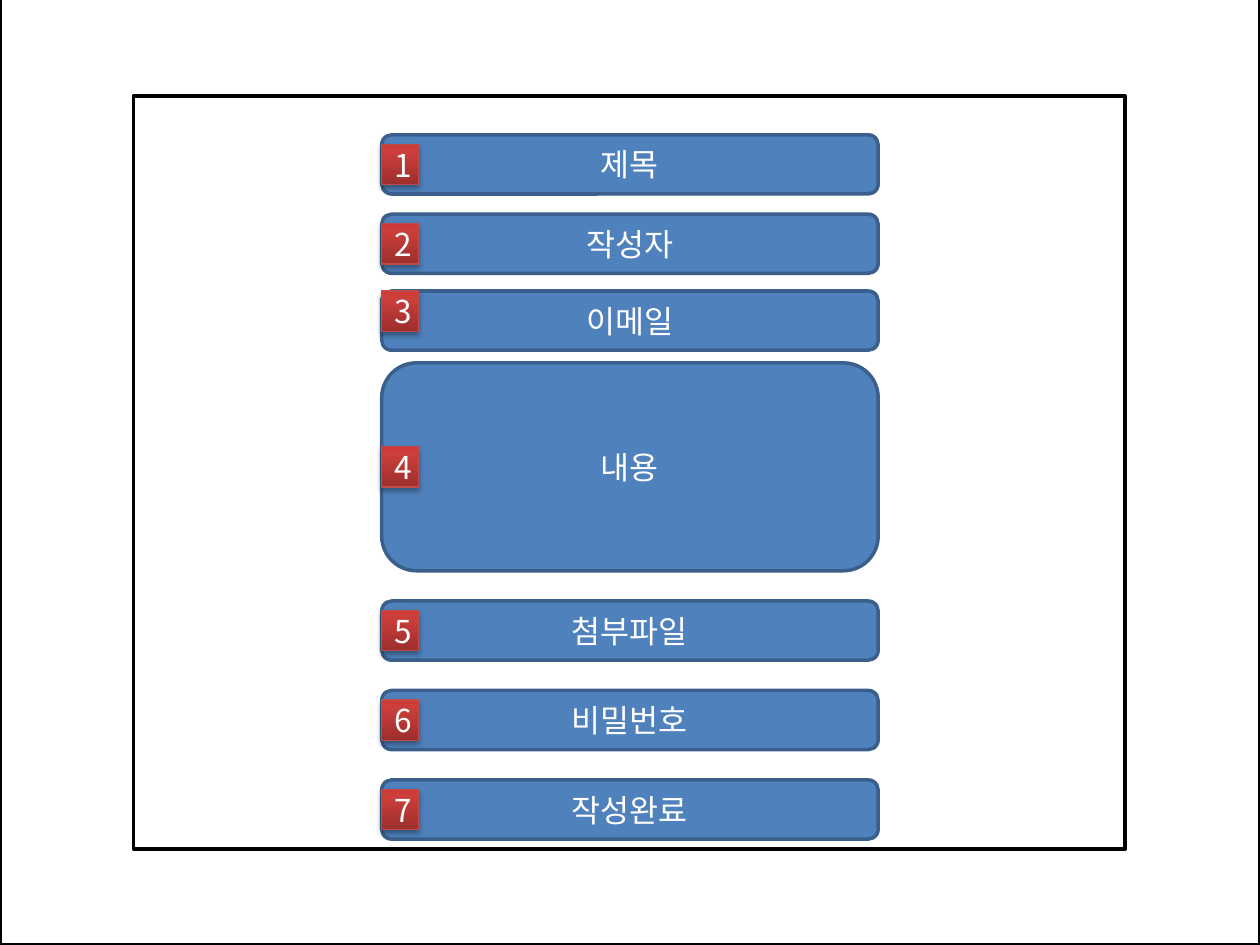
import lxml.etree
import pptx
import pptx.dml.color
import pptx.enum.shapes
import pptx.enum.text
import pptx.oxml
import pptx.oxml.ns
import pptx.util

FONT = "Noto Sans CJK KR"
FIELD_LEFT, FIELD_WIDTH, FIELD_HEIGHT = 3.03, 3.94, 0.47
BADGE_WIDTH, BADGE_HEIGHT = 0.29, 0.32
FIELDS = [
    ("제목", 1.07, FIELD_HEIGHT),
    ("작성자", 1.7, FIELD_HEIGHT),
    ("이메일", 2.31, FIELD_HEIGHT),
    ("내용", 2.88, 1.65),
    ("첨부파일", 4.77, FIELD_HEIGHT),
    ("비밀번호", 5.48, FIELD_HEIGHT),
    ("작성완료", 6.19, FIELD_HEIGHT),
]
TOP_ALIGNED_BADGE = 3
BADGE_STOPS = [(0, "9C2F2D"), (80, "CB3E3A"), (100, "CE3B37")]


def color(hex_text):
    """Return the colour for a hex string."""
    return pptx.dml.color.RGBColor.from_string(hex_text)


def add_box(slide, kind, box, fill, line, line_width):
    """Add a preset shape with a plain fill and outline."""
    shape = slide.shapes.add_shape(kind, *map(pptx.util.Inches, box))
    shape.shadow.inherit = False
    shape.fill.solid()
    shape.fill.fore_color.rgb = color(fill)
    shape.line.color.rgb = color(line)
    shape.line.width = pptx.util.Pt(line_width)
    return shape


def set_label(shape, text):
    """Write centred white text in a shape."""
    shape.text_frame.vertical_anchor = pptx.enum.text.MSO_ANCHOR.MIDDLE
    paragraph = shape.text_frame.paragraphs[0]
    paragraph.text = text
    paragraph.alignment = pptx.enum.text.PP_ALIGN.CENTER
    paragraph.font.size = pptx.util.Pt(18)
    paragraph.font.color.rgb = color("FFFFFF")
    paragraph.font.name = FONT
    properties = paragraph._p.get_or_add_pPr().get_or_add_defRPr()
    lxml.etree.SubElement(properties, pptx.oxml.ns.qn("a:ea"), typeface=FONT)


def set_gradient(shape, stops):
    """Replace the fill with a gradient that runs upwards."""
    stop_xml = "".join(
        f'<a:gs pos="{share * 1000}"><a:srgbClr val="{value}"/></a:gs>' for share, value in stops
    )
    gradient = pptx.oxml.parse_xml(
        f'<a:gradFill {pptx.oxml.ns.nsdecls("a")} rotWithShape="1"><a:gsLst>{stop_xml}</a:gsLst>'
        '<a:lin ang="16200000" scaled="0"/></a:gradFill>'
    )
    properties = shape._element.spPr
    properties.replace(properties.find(pptx.oxml.ns.qn("a:solidFill")), gradient)


def set_shadow(shape, opacity, blur, distance):
    """Give a shape a soft black shadow that falls straight down."""
    shadow = pptx.oxml.parse_xml(
        f'<a:outerShdw {pptx.oxml.ns.nsdecls("a")} blurRad="{pptx.util.Pt(blur)}" '
        f'dist="{pptx.util.Pt(distance)}" dir="5400000" rotWithShape="0"><a:srgbClr val="000000">'
        f'<a:alpha val="{opacity * 1000}"/></a:srgbClr></a:outerShdw>'
    )
    shape._element.spPr.find(pptx.oxml.ns.qn("a:effectLst")).append(shadow)


def add_frame(slide, box):
    """Add a white frame with a black outline."""
    add_box(slide, pptx.enum.shapes.MSO_SHAPE.RECTANGLE, box, "FFFFFF", "000000", 2)


def add_field(slide, text, top, height):
    """Add one rounded form field."""
    box = (FIELD_LEFT, top, FIELD_WIDTH, height)
    kind = pptx.enum.shapes.MSO_SHAPE.ROUNDED_RECTANGLE
    set_label(add_box(slide, kind, box, "4F81BD", "3A5F8C", 2), text)


def add_badge(slide, number, top):
    """Add one red number badge."""
    box = (FIELD_LEFT, top, BADGE_WIDTH, BADGE_HEIGHT)
    kind = pptx.enum.shapes.MSO_SHAPE.RECTANGLE
    badge = add_box(slide, kind, box, "CB3E3A", "BF4C48", 0.75)
    set_gradient(badge, BADGE_STOPS)
    set_shadow(badge, 35, 3.1, 1.8)
    set_label(badge, str(number))


def main():
    """Build the form layout slide."""
    presentation = pptx.Presentation()
    presentation.slide_width = pptx.util.Inches(10)
    presentation.slide_height = pptx.util.Inches(7.5)
    slide = presentation.slides.add_slide(presentation.slide_layouts[6])
    add_frame(slide, (0, -0.03, 10, 7.53))
    add_frame(slide, (1.06, 0.76, 7.87, 5.98))
    for number, (text, top, height) in enumerate(FIELDS, 1):
        add_field(slide, text, top, height)
        offset = 0 if number == TOP_ALIGNED_BADGE else (height - BADGE_HEIGHT) / 2
        add_badge(slide, number, top + offset)
    presentation.save("out.pptx")


if __name__ == "__main__":
    main()
